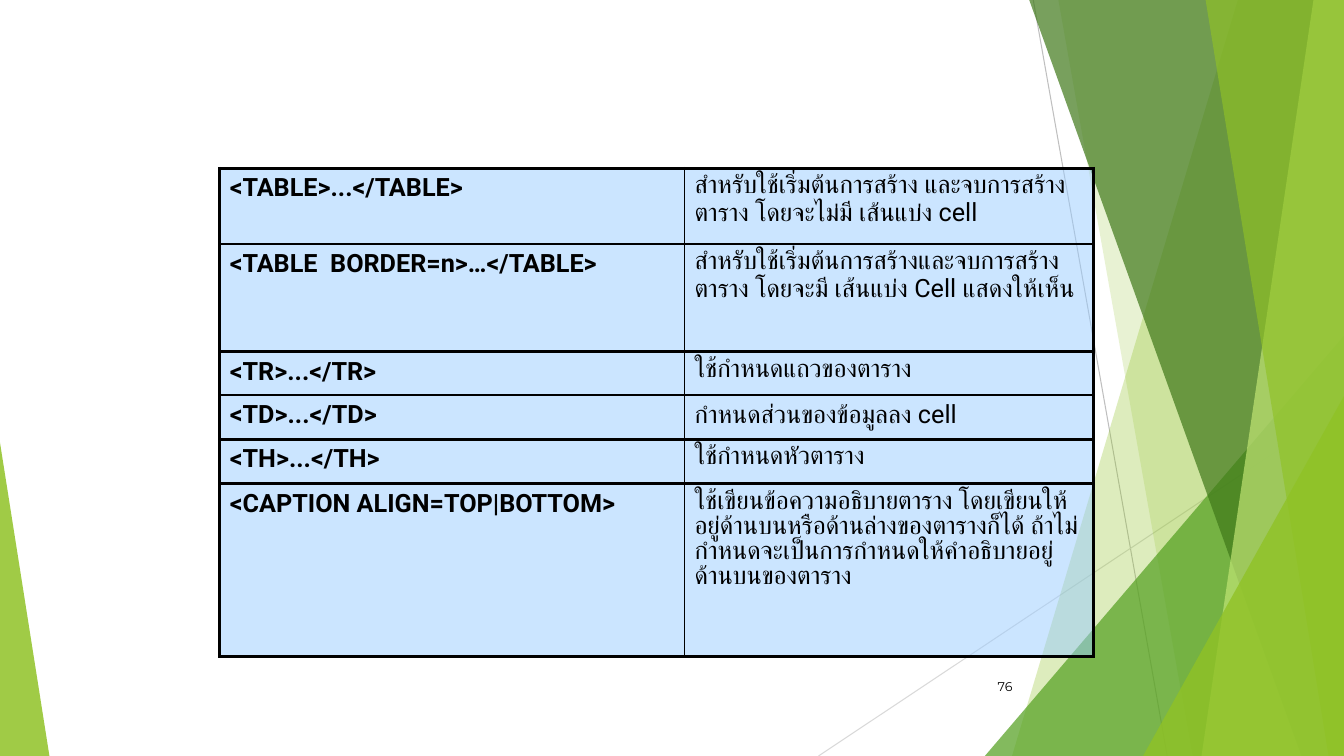
from lxml import etree
from pptx import Presentation
from pptx.dml.color import RGBColor
from pptx.enum.shapes import MSO_CONNECTOR, MSO_SHAPE
from pptx.enum.text import MSO_ANCHOR, PP_ALIGN
from pptx.oxml.ns import qn
from pptx.util import Inches, Pt

STRAIGHT = MSO_CONNECTOR.STRAIGHT
TRIANGLE = MSO_SHAPE.ISOSCELES_TRIANGLE
MIDDLE = MSO_ANCHOR.MIDDLE
RIGHT = PP_ALIGN.RIGHT

BLACK = RGBColor(0x00, 0x00, 0x00)
SILVER = RGBColor(0xBF, 0xBF, 0xBF)
PALE_GRAY = RGBColor(0xD9, 0xD9, 0xD9)
LIME = RGBColor(0x90, 0xC2, 0x26)
GREEN = RGBColor(0x54, 0xA0, 0x21)
DARK_GREEN = RGBColor(0x3F, 0x78, 0x19)
LIGHT_LIME = RGBColor(0xC0, 0xE4, 0x74)
SKY = RGBColor(0x99, 0xCC, 0xFF)

TAG_FORMAT = {"name": "Roboto", "size": Pt(18), "bold": True}
MEANING_FORMAT = {**TAG_FORMAT, "bold": False}
NUMBER_FORMAT = {"name": "Montserrat", "size": Pt(9)}
THICK, THIN = Pt(2.25), Pt(1)

# Start, end and colour of each hairline, in percent of the slide
HAIRLINES = [
    ((76.88, 0), (86.85, 100), SILVER),
    ((100, 53.73), (60.9, 100), PALE_GRAY),
]
# Top-left x, bottom-left x, colour and opacity; all reach the right edge
BACK_FACETS = [(92.1, 75.3, LIME, 30), (78.75, 88.73, LIME, 20)]
FRONT_FACETS = [
    (76.58, 96.83, DARK_GREEN, 70),
    (97.73, 89.4, LIGHT_LIME, 70),
    (89.7, 98.85, LIME, 65),
]

TAGS = [
    ("<TABLE>...</TABLE>",
     "สำหรับใช้เริ่มต้นการสร้าง และจบการสร้างตาราง โดยจะไม่มี เส้นแบ่ง cell"),
    ("<TABLE  BORDER=n>…</TABLE>",
     "สำหรับใช้เริ่มต้นการสร้างและจบการสร้างตาราง โดยจะมี เส้นแบ่ง Cell แสดงให้เห็น"),
    ("<TR>...</TR>", "ใช้กำหนดแถวของตาราง"),
    ("<TD>...</TD>", "กำหนดส่วนของข้อมูลลง cell"),
    ("<TH>...</TH>", "ใช้กำหนดหัวตาราง"),
    ("<CAPTION ALIGN=TOP|BOTTOM>",
     "ใช้เขียนข้อความอธิบายตาราง โดยเขียนให้อยู่ด้านบนหรือด้านล่างของตารางก็ได้ "
     "ถ้าไม่กำหนดจะเป็นการกำหนดให้คำอธิบายอยู่ด้านบนของตาราง"),
]
COLUMN_WIDTHS = [34.58, 30.45]
ROW_HEIGHTS = [10, 14.27, 5.73, 5.87, 5.87, 22.8]


def set_opacity(properties, percent):
    """Make the solid fill directly inside a properties element translucent."""
    color = properties.find(qn("a:solidFill"))[0]
    etree.SubElement(color, qn("a:alpha"), val=str(percent * 1000))


class SlideBuilder:
    """Draws on one slide; all lengths are percentages of the slide's size."""

    def __init__(self, presentation):
        self.width = presentation.slide_width
        self.height = presentation.slide_height
        self.slide = presentation.slides.add_slide(presentation.slide_layouts[6])
        self.shapes = self.slide.shapes

    def x(self, share):
        return round(self.width * share / 100)

    def y(self, share):
        return round(self.height * share / 100)

    def box(self, left, top, width, height):
        return self.x(left), self.y(top), self.x(width), self.y(height)

    def paint(self, shape, color, opacity):
        shape.shadow.inherit = False
        shape.fill.solid()
        shape.fill.fore_color.rgb = color
        set_opacity(shape._element.spPr, opacity)
        shape.line.fill.background()

    def hairline(self, start, end, color):
        line = self.shapes.add_connector(
            STRAIGHT, self.x(start[0]), self.y(start[1]), self.x(end[0]), self.y(end[1]))
        line.line.color.rgb = color
        line.line.width = Pt(0.75)
        etree.SubElement(line._element.spPr, qn("a:effectLst"))

    def facet(self, top_left, bottom_left, color, opacity):
        outline = self.shapes.build_freeform(self.x(top_left), 0)
        corners = [(100, 0), (100, 100), (bottom_left, 100)]
        outline.add_line_segments([(self.x(x), self.y(y)) for x, y in corners])
        self.paint(outline.convert_to_shape(), color, opacity)

    def corner(self, left, top, width, apex, color, opacity):
        """Draw a right triangle that stands on the slide's bottom edge."""
        shape = self.shapes.add_shape(TRIANGLE, *self.box(left, top, width, 100 - top))
        shape.adjustments[0] = apex
        self.paint(shape, color, opacity)

    def add_text(self, frame, text, font_format):
        paragraph = frame.paragraphs[0]
        run = paragraph.add_run()
        run.text = text
        for name, value in font_format.items():
            setattr(run.font, name, value)
        run.font.color.rgb = BLACK
        return paragraph

    def cell(self, cell, text, font_format, borders):
        self.add_text(cell.text_frame, text, font_format)
        properties = cell._tc.get_or_add_tcPr()
        for side, width in borders.items():
            line = etree.SubElement(properties, qn(f"a:ln{side}"), w=str(width))
            fill = etree.SubElement(line, qn("a:solidFill"))
            etree.SubElement(fill, qn("a:srgbClr"), val=str(BLACK))
        cell.fill.solid()
        cell.fill.fore_color.rgb = SKY
        set_opacity(properties, 50)

    def table(self, left, top, rows, widths, heights):
        table = self.shapes.add_table(
            len(rows), len(widths),
            *self.box(left, top, sum(widths), sum(heights))).table
        table.first_row = table.horz_banding = False
        for column, width in zip(table.columns, widths):
            column.width = self.x(width)
        for row, height, (tag, meaning) in zip(table.rows, heights, rows):
            row.height = self.y(height)
            self.cell(row.cells[0], tag, TAG_FORMAT,
                      {"L": THICK, "R": THIN, "T": THICK, "B": THICK})
            self.cell(row.cells[1], meaning, MEANING_FORMAT,
                      {"L": THIN, "R": THICK, "T": THICK, "B": THICK})

    def page_number(self, text, left, top, width, height):
        frame = self.shapes.add_textbox(*self.box(left, top, width, height)).text_frame
        frame.word_wrap = True
        frame.vertical_anchor = MIDDLE
        self.add_text(frame, text, NUMBER_FORMAT).alignment = RIGHT


def main():
    presentation = Presentation()
    presentation.slide_width = Inches(13.33)
    presentation.slide_height = Inches(7.5)
    builder = SlideBuilder(presentation)
    for hairline in HAIRLINES:
        builder.hairline(*hairline)
    for facet in BACK_FACETS:
        builder.facet(*facet)
    builder.corner(73.28, 44.4, 26.72, 1, GREEN, 72)
    for facet in FRONT_FACETS:
        builder.facet(*facet)
    builder.corner(85.05, 52.4, 14.95, 1, LIME, 80)
    builder.corner(0, 58.53, 3.68, 0, LIME, 85)
    builder.table(16.35, 22.27, TAGS, COLUMN_WIDTHS, ROW_HEIGHTS)
    builder.page_number("76", 70.44, 88.13, 5.63, 5.33)
    presentation.save("out.pptx")


if __name__ == "__main__":
    main()
